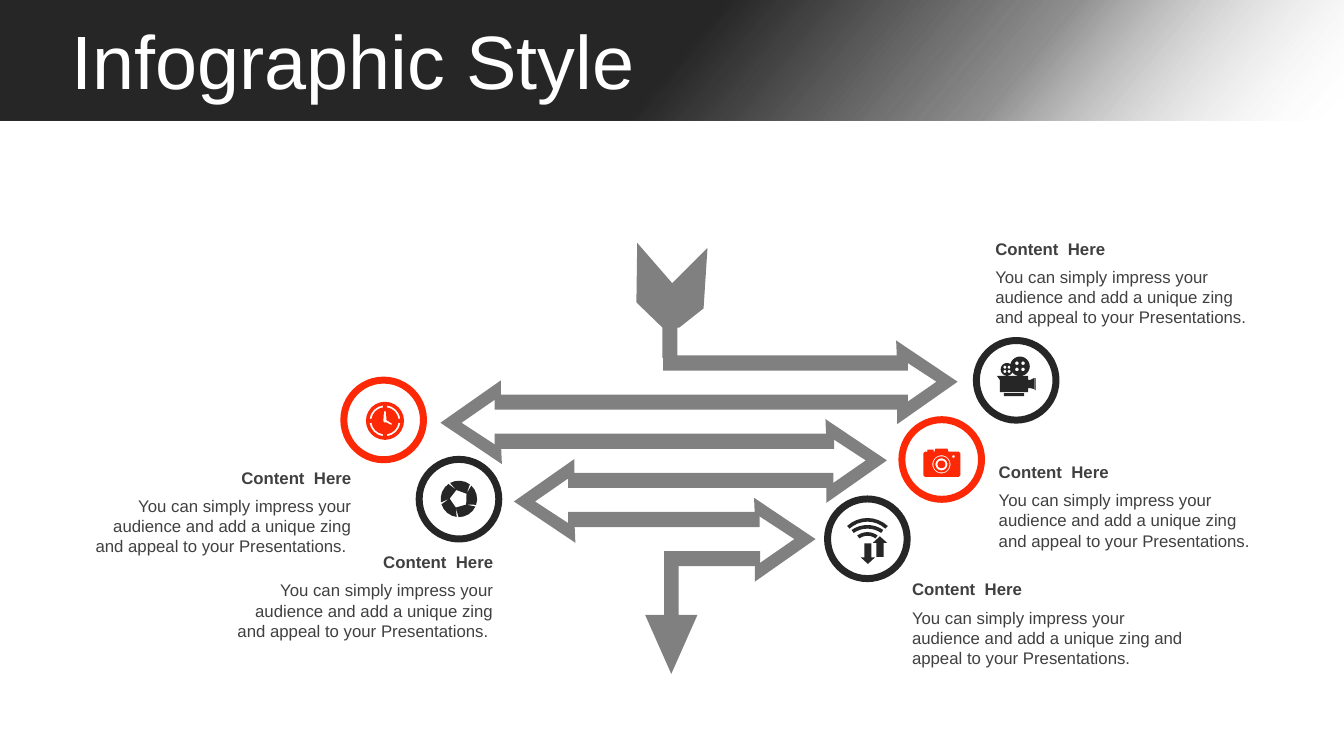
from math import cos, radians, sin

from pptx import Presentation
from pptx.dml.color import RGBColor
from pptx.enum.shapes import MSO_SHAPE as SHAPE
from pptx.enum.text import MSO_ANCHOR as ANCHOR, PP_ALIGN as ALIGN
from pptx.oxml import parse_xml
from pptx.oxml.ns import nsdecls, qn
from pptx.util import Pt

DARK, RED, GREY, WHITE, TEXT = "262626", "FD2906", "808080", "FFFFFF", "404040"
LEFT, RIGHT = ALIGN.LEFT, ALIGN.RIGHT

deck = Presentation()
deck.slide_width, deck.slide_height = Pt(960), Pt(540)
page = deck.slides.add_slide(deck.slide_layouts[6])
shapes = page.shapes


def paint(shape, fill, line=None, weight=1):
    shape.shadow.inherit = False
    shape.fill.solid()
    shape.fill.fore_color.rgb = RGBColor.from_string(fill)
    if line:
        shape.line.color.rgb = RGBColor.from_string(line)
        shape.line.width = Pt(weight)
    else:
        shape.line.fill.background()


def outline(colour, *contours):
    """Draw one freeform; a contour is a list of points or a (x, y, radius) circle."""
    builder = None
    for contour in contours:
        if isinstance(contour, tuple):
            x, y, radius = contour
            count = 24 if radius > 4 else 10
            turns = [radians(360 * step / count) for step in range(count)]
            contour = [(x + radius * cos(turn), y + radius * sin(turn)) for turn in turns]
        corners = [(x * 100, y * 100) for x, y in contour]
        if builder:
            builder.move_to(*corners[0])
        else:
            builder = shapes.build_freeform(*corners[0], scale=Pt(1) / 100)
        builder.add_line_segments(corners[1:], close=True)
    paint(builder.convert_to_shape(), colour)


# Header band with a diagonal fade
band = shapes.add_shape(SHAPE.RECTANGLE, 0, 0, Pt(960), Pt(86.4))
paint(band, DARK)
stops = "".join(
    f'<a:gs pos="{place * 1000}"><a:srgbClr val="{colour}">'
    f'<a:alpha val="{alpha * 1000}"/></a:srgbClr></a:gs>'
    for place, colour, alpha in [(0, WHITE, 0), (25, DARK, 50), (50, DARK, 100), (100, DARK, 100)])
fade = parse_xml(f'<a:gradFill {nsdecls("a")} rotWithShape="1"><a:gsLst>{stops}</a:gsLst>'
                 f'<a:lin ang="{220 * 60000}" scaled="0"/></a:gradFill>')
properties = band._element.spPr
properties.replace(properties.find(qn("a:solidFill")), fade)

# Steps: ring left, ring colour, arrowhead left, caption left, top, width, alignment
steps = [
    (697.4, DARK, 640.1, 703.8, 166.7, 201, LEFT),
    (245.6, RED, 314.6, 58.7, 330.2, 199.4, RIGHT),
    (644.2, RED, 589.6, 706.3, 326.1, 201, LEFT),
    (299.4, DARK, 367.1, 160.1, 390.5, 199.4, RIGHT),
    (591.1, DARK, 538.6, 644.4, 410.1, 210, LEFT),
]
SENTENCE = "You can simply impress your audience and add a unique zing and appeal to your Presentations."
texts = [(43.9, 18, 893, 57, "Infographic Style", 54, WHITE, False, LEFT, ANCHOR.MIDDLE)]
for *_, x, y, width, align in steps:
    words = SENTENCE + "  " if align == RIGHT else SENTENCE
    texts.append((x, y, width, 21.6, "Content  Here", 12, TEXT, True, align, ANCHOR.MIDDLE))
    texts.append((x, y + 20.3, width, 51, words, 12, TEXT, False, align, ANCHOR.TOP))

# Title and captions
for x, y, width, height, words, size, colour, bold, align, anchor in texts:
    box = shapes.add_textbox(Pt(x), Pt(y), Pt(width), Pt(height))
    frame = box.text_frame
    frame.word_wrap = True
    frame.vertical_anchor = anchor
    frame.text = words
    para = frame.paragraphs[0]
    para.alignment = align
    if size == 54:
        para.line_spacing = 0.9
    font = para.runs[0].font
    font.name, font.size, font.bold = "Arial", Pt(size), bold
    font.color.rgb = RGBColor.from_string(colour)

# Arrow tail, bars and final point
outline(GREY, [(455.2, 173.5), (480.2, 202.3), (505.4, 177.1), (502.6, 220.3), (485.3, 234),
               (483.8, 234), (483.8, 255.6), (473.2, 255.6), (473.2, 234), (454.6, 216)])
bars = [(473.6, 175), (353.3, 295.2), (353.3, 242.6), (405.9, 189.4), (405.9, 136.8), (479.5, 63.4)]
for row, (x, width) in enumerate(bars):
    bar = shapes.add_shape(SHAPE.RECTANGLE, Pt(x), Pt(253.9 + 27.94 * row), Pt(width), Pt(10.8))
    paint(bar, GREY)
outline(GREY, [(474.3, 393.6), (484.7, 393.6), (484.7, 439.2), (498.2, 439.2),
               (479.5, 481.4), (460.8, 439.2), (474.3, 439.2)])

# Rings and arrowheads, turned half round on the left side
head = [(0.5, 11), (0, 0), (43.9, 29.5), (0.7, 59.8), (0.7, 49), (28.8, 29.5)]
for row, (ring_x, colour, head_x, *_, align) in enumerate(steps):
    ring = shapes.add_shape(SHAPE.OVAL, Pt(ring_x), Pt(243.2 + 28.3 * row), Pt(56.9), Pt(56.9))
    paint(ring, WHITE, colour, 5)
    head_y = 243.2 + 28.1 * row
    turned = head if align == LEFT else [(43.9 - x, 60.2 - y) for x, y in head]
    outline(GREY, [(head_x + x, head_y + y) for x, y in turned])

# Film camera: body, small reel, base and lens edge, then the large reel
reels = []
for x, y, radius, hole, offset in [(719.3, 263.8, 4.5, 1.1, 1.5), (728.6, 261.7, 7, 1.3, 2.2)]:
    holes = [(x + dx, y + dy, hole) for dx in (-offset, offset) for dy in (-offset, offset)]
    reels.append([(x, y, radius), *holes])
small_reel, large_reel = reels
camera_body = [(712.1, 268.5), (734.4, 268.5), (734.4, 271.4), (735.8, 271.4), (738.7, 270),
               (738.7, 277.9), (735.8, 277.2), (734.4, 277.2), (734.4, 280.1), (714.2, 280.1),
               (714.2, 271.4)]
base = [(717.1, 280.8), (731.5, 280.8), (731.5, 282.9), (717.1, 282.9)]
lens_edge = [(739.1, 270), (739.8, 270), (739.8, 278.6), (739.1, 278.6)]
outline(DARK, camera_body, base, lens_edge, *small_reel)
outline(DARK, *large_reel)

# Photo camera with lens rings and viewfinder
case = [(660.7, 322.6), (662.4, 322.6), (662.4, 321.1), (667, 321.1), (667, 322.6), (667.6, 322.6),
        (668.2, 320.4), (676.8, 320.4), (677.5, 322.6), (684.8, 322.6), (686.1, 323.9),
        (686.1, 339.3), (684.8, 340.6), (660.7, 340.6), (659.5, 339.3), (659.5, 323.9)]
outline(RED, case, *[(672.5, 331.7, radius) for radius in (6.5, 5.8, 4.3, 2.9)], (681.1, 326.1, 1))

# Clock with a ring in four quarters and two hands
clock_x, clock_y = 275, 300.6
quarters = []
for start in range(0, 360, 90):
    turns = [radians(start + step) for step in (8, 26, 45, 64, 82)]
    quarters.append([(clock_x + reach * cos(turn), clock_y + reach * sin(turn))
                     for reach, order in [(11.1, turns), (9.7, turns[::-1])] for turn in order])
hands = [(-0.7, -6.8), (0.7, -6.8), (1.1, -0.5), (5, 2), (4.6, 3), (1, 1.2), (-0.6, 1.2), (-1.2, 0)]
outline(RED, (clock_x, clock_y, 13.6), *quarters, [(clock_x + x, clock_y + y) for x, y in hands])

# Shutter with five blades around a pentagon
blades = []
for angle in range(38, 398, 72):
    spots = [(6.6, angle), (6.6, angle + 72)]
    spots += [(13, angle - 16 + step) for step in (69, 53, 36, 19, 3)]
    blades.append([(327.8 + reach * cos(radians(turn)), 356.4 + reach * sin(radians(turn)))
                   for reach, turn in spots])
outline(DARK, *blades)

# Signal waves (top, radius, half angle) above a pair of arrows
waves = []
for top, radius, half in [(371.3, 20, 43), (376.3, 18.4, 35), (381.4, 10.8, 37)]:
    turns = [radians(half * step / 4) for step in range(-4, 5)]
    waves.append([(619.6 + reach * sin(turn), top + radius - reach * cos(turn))
                  for reach, order in [(radius + 1.3, turns), (radius - 1.3, turns[::-1])]
                  for turn in order])
arrow = [(2.5, 0), (7.6, 0), (7.6, 10.1), (10.1, 10.1), (5, 14.7), (0, 10.1), (2.5, 10.1)]
outline(DARK, *waves, [(614.9 + x, 388.1 + y) for x, y in arrow],
        [(623.5 + x, 397.8 - y) for x, y in arrow])

deck.save("out.pptx")
